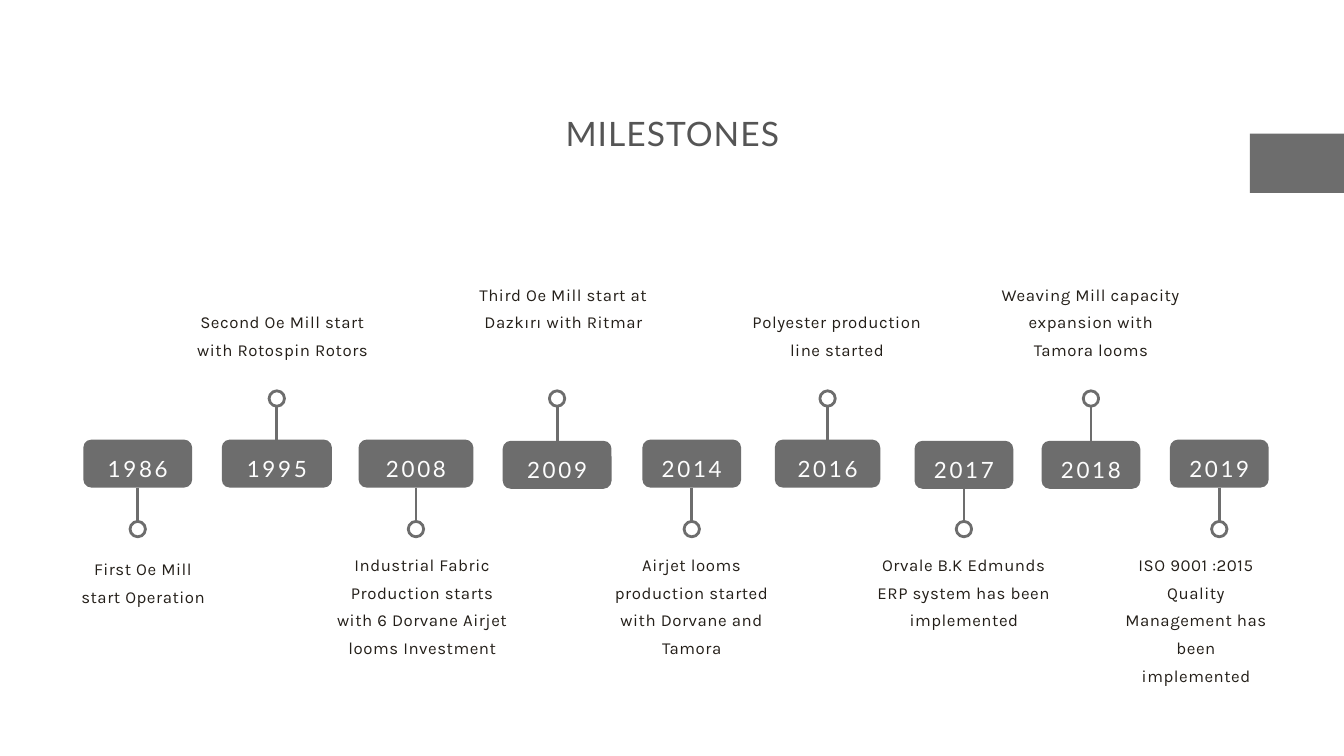
from lxml.etree import SubElement
from pptx import Presentation
from pptx.dml.color import RGBColor
from pptx.enum.shapes import MSO_CONNECTOR, MSO_SHAPE
from pptx.enum.text import MSO_ANCHOR, PP_ALIGN
from pptx.oxml.ns import qn
from pptx.util import Pt

GRAY = RGBColor(0x6D, 0x6D, 0x6D)
SLATE = RGBColor(0x55, 0x55, 0x55)
INK = RGBColor(0x24, 0x1F, 0x19)
PALE = RGBColor(0xFD, 0xFD, 0xFD)
WHITE = RGBColor(0xFF, 0xFF, 0xFF)

# font name, size, colour, line height and letter spacing (1/100 pt)
TITLE = dict(font="Lato", size=36, color=SLATE, lead=47.2, track=110)
YEAR = dict(font="Lato", size=24, color=PALE, lead=38.4, track=290)
NOTE = dict(font="Karla", size=18, color=INK, lead=29.7, track=60)

BOX_H = 51.4
RING = 16.5
STROKE = 3
RING_UP, RING_DOWN = 427, 566.9

# year, box centre, box width, box top, note centre, note top, note width,
# note lines, note; pins go down and up in turn
STEPS = [
    ("1986", 147.6, 116.6, 471, 153.4, 590.4, 145.4, 2,
     "First Oe Mill start Operation"),
    ("1995", 296.6, 118, 471, 302.8, 326.2, 193.7, 2,
     "Second Oe Mill start with Rotospin Rotors"),
    ("2008", 445.7, 123, 471, 452.5, 586.1, 193.7, 4,
     "Industrial Fabric Production starts with 6 Dorvane Airjet "
     "looms Investment"),
    ("2009", 596.9, 116.6, 472.3, 603.7, 296.6, 193.7, 2,
     "Third Oe Mill start at Dazkırı with Ritmar"),
    ("2014", 741.2, 105.8, 471, 741.2, 586.1, 193.7, 4,
     "Airjet looms production started with Dorvane and Tamora"),
    ("2016", 886.7, 113, 471, 896.8, 326.2, 193.7, 2,
     "Polyester production line started"),
    ("2017", 1032.8, 105.8, 472.3, 1032.8, 586.1, 193.7, 3,
     "Orvale B.K Edmunds ERP system has been implemented"),
    ("2018", 1168.9, 105.8, 472.3, 1168.9, 296.6, 193.7, 3,
     "Weaving Mill capacity expansion with Tamora looms"),
    ("2019", 1306.4, 105.8, 471, 1281.6, 586.1, 154.1, 5,
     "ISO 9001 :2015 Quality Management has been implemented"),
]


class Deck:
    """Holds the style and the current slide."""

    def __init__(self, width, height):
        self.file = Presentation()
        self.file.slide_width, self.file.slide_height = Pt(width), Pt(height)
        self.slide = self.file.slides.add_slide(self.file.slide_layouts[6])
        self.shapes = self.slide.shapes

    def label(self, shape, text, style, inset=0):
        """Put one centred paragraph in a shape, inset from its top."""
        frame = shape.text_frame
        values = dict(word_wrap=True, vertical_anchor=MSO_ANCHOR.TOP,
                      margin_left=0, margin_right=0, margin_bottom=0,
                      margin_top=Pt(inset))
        for name, value in values.items():
            setattr(frame, name, value)
        line = frame.paragraphs[0]
        line.alignment = PP_ALIGN.CENTER
        line.line_spacing = Pt(style["lead"])
        run = line.add_run()
        run.text = text
        for name, value in dict(name=style["font"],
                                size=Pt(style["size"])).items():
            setattr(run.font, name, value)
        run.font.color.rgb = style["color"]
        run._r.get_or_add_rPr().set("spc", str(style["track"]))

    def text(self, mid, top, width, lines, text, style):
        box = self.shapes.add_textbox(Pt(mid - width / 2), Pt(top), Pt(width),
                                      Pt(lines * style["lead"]))
        self.label(box, text, style)

    def shape(self, kind, left, top, width, height, fill=GRAY):
        shape = self.shapes.add_shape(kind, Pt(left), Pt(top), Pt(width),
                                      Pt(height))
        shape.shadow.inherit = False
        shape.fill.solid()
        shape.fill.fore_color.rgb = fill
        shape.line.fill.background()
        return shape

    def year(self, mid, top, width, text):
        box = self.shape(MSO_SHAPE.ROUNDED_RECTANGLE, mid - width / 2, top,
                         width, BOX_H)
        self.label(box, text, YEAR, inset=4.3)
        return box

    def pin(self, box, mid, down):
        """Draw a stem from the box to a ring above or below it."""
        ring_y = RING_DOWN if down else RING_UP
        edge = ring_y + (-RING / 2 if down else RING / 2)
        stem = self.shapes.add_connector(MSO_CONNECTOR.STRAIGHT, Pt(mid),
                                         box.top, Pt(mid), Pt(edge))
        stem.begin_connect(box, 2 if down else 0)
        SubElement(stem._element.spPr, qn("a:effectLst"))
        ring = self.shape(MSO_SHAPE.OVAL, mid - RING / 2, ring_y - RING / 2,
                          RING, RING, WHITE)
        for item in (stem, ring):
            item.line.color.rgb = GRAY
            item.line.width = Pt(STROKE)


def main():
    deck = Deck(1440, 810)
    deck.text(720.4, 117.4, 569.5, 1, "MILESTONES", TITLE)
    deck.shape(MSO_SHAPE.RECTANGLE, 1339.2, 143.3, 100.8, 63.4)
    for i, step in enumerate(STEPS):
        year, mid, width, top, note_mid, note_top, note_w, lines, note = step
        box = deck.year(mid, top, width, year)
        deck.pin(box, mid, down=i % 2 == 0)
        deck.text(note_mid, note_top, note_w, lines, note, NOTE)
    deck.file.save("out.pptx")


if __name__ == "__main__":
    main()
